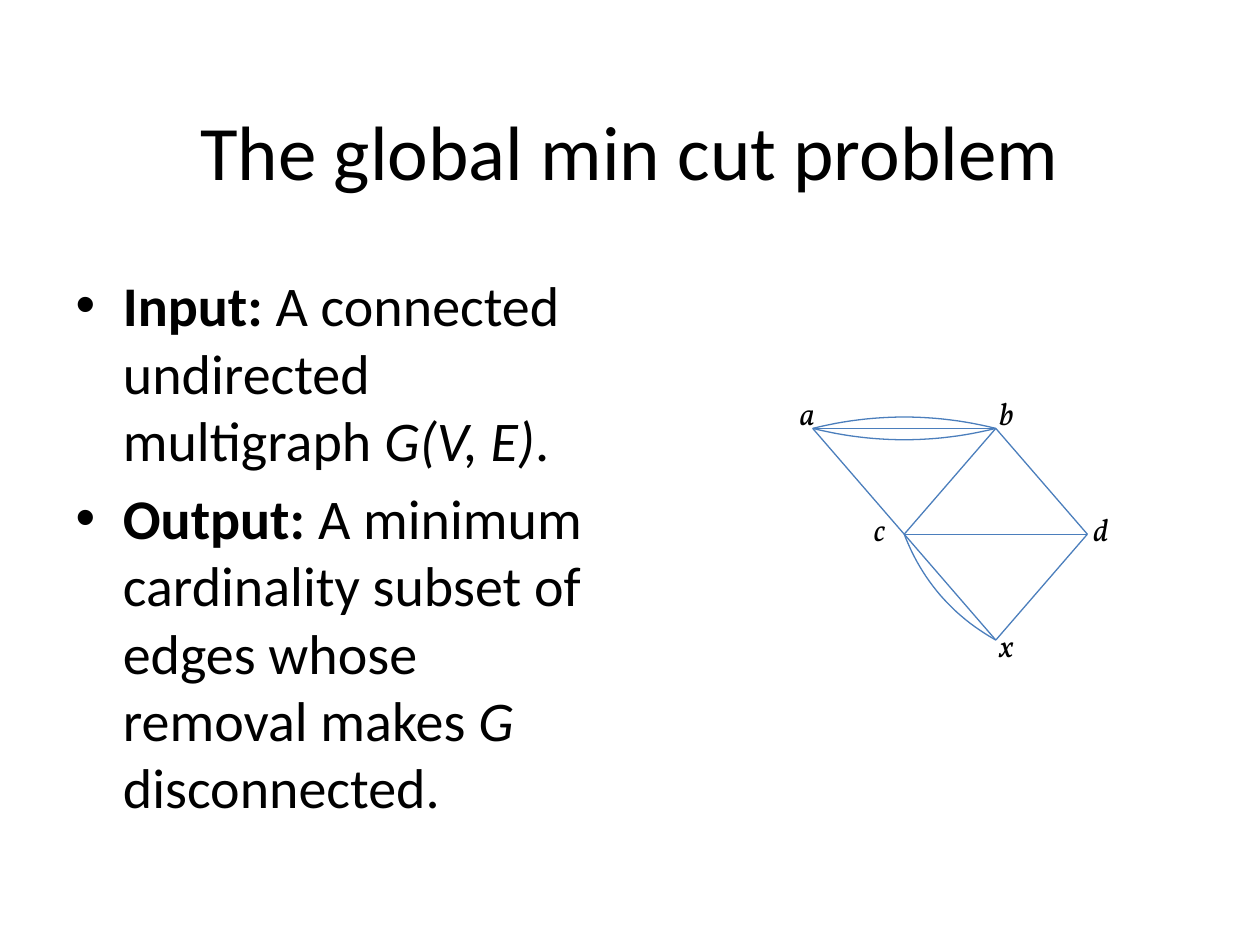
"""Build a slide that states the global min cut problem beside a small multigraph."""
from dataclasses import dataclass
from math import hypot

from lxml.etree import SubElement
from pptx import Presentation
from pptx.dml.color import RGBColor
from pptx.enum.shapes import MSO_CONNECTOR
from pptx.enum.text import MSO_ANCHOR, PP_ALIGN
from pptx.oxml.ns import qn
from pptx.util import Inches, Pt


@dataclass(frozen=True)
class Theme:
    ink: RGBColor = RGBColor(0, 0, 0)
    edge: RGBColor = RGBColor(0x4B, 0x7E, 0xBC)
    text_face: str = "Calibri"
    label_face: str = "Vollkorn"
    title_size: int = 44
    body_size: int = 32
    label_size: int = 18
    edge_width: float = 0.75


THEME = Theme()
WIDTH, HEIGHT = 10, 7.5
MARGIN = 0.05 * WIDTH

TITLE = "The global min cut problem"
STATEMENTS = [
    [("Input: ", "bold"), ("A connected undirected multigraph ", ""),
     ("G(V, E)", "italic"), (".", "")],
    [("Output: ", "bold"),
     ("A minimum cardinality subset of edges whose removal makes ", ""),
     ("G", "italic"), (" disconnected.", "")],
]

NODE_CELLS = {"a": (0, 0), "b": (2, 0), "c": (1, 1), "d": (3, 1), "x": (2, 2)}
LABEL_SHIFTS = {"a": (-0.2, -0.32), "b": (-0.07, -0.32), "c": (-0.34, -0.24),
                "d": (-0.05, -0.24), "x": (-0.07, -0.16)}
STRAIGHT_EDGES = ["ab", "ac", "bc", "bd", "dx", "cx", "cd"]
BOWED_EDGES = [("cx", 0.1), ("ab", -0.09), ("ab", 0.09)]
GRAPH_LEFT, GRAPH_TOP = 6.45, 3.4
COLUMN, ROW = 2.18 / 3, 0.84
LABEL_WIDTH, LABEL_HEIGHT = 0.24, 0.58
CURVE_STEPS = 24


def node_point(node):
    column, row = NODE_CELLS[node]
    return GRAPH_LEFT + column * COLUMN, GRAPH_TOP + row * ROW


def style_font(font, face, size):
    font.name, font.size = face, Pt(size)
    font.color.rgb = THEME.ink


def style_edge(edge):
    edge.line.color.rgb = THEME.edge
    edge.line.width = Pt(THEME.edge_width)


def place(part, left, top, width, height):
    part.left, part.top = Inches(left), Inches(top)
    part.width, part.height = Inches(width), Inches(height)


def add_title(slide):
    title = slide.shapes.title
    place(title, MARGIN, 0.77, WIDTH - 2 * MARGIN, HEIGHT / 6)
    title.text_frame.text = TITLE
    title.text_frame.vertical_anchor = MSO_ANCHOR.TOP
    heading = title.text_frame.paragraphs[0]
    heading.alignment = PP_ALIGN.CENTER
    style_font(heading.runs[0].font, THEME.text_face, THEME.title_size)


def add_statements(slide):
    body = slide.placeholders[1]
    place(body, MARGIN, 2.1, 4.42, 4.85)
    frame = body.text_frame
    for index, statement in enumerate(STATEMENTS):
        paragraph = frame.add_paragraph() if index else frame.paragraphs[0]
        if index == 0:
            paragraph.space_before = Pt(0)
        for wording, emphasis in statement:
            run = paragraph.add_run()
            run.text = wording
            style_font(run.font, THEME.text_face, THEME.body_size)
            run.font.bold = emphasis == "bold"
            run.font.italic = emphasis == "italic"


def add_straight_edge(graph, ends):
    points = [Inches(value) for node in ends for value in node_point(node)]
    edge = graph.shapes.add_connector(MSO_CONNECTOR.STRAIGHT, *points)
    style_edge(edge)
    SubElement(edge.element.spPr, qn("a:effectLst"))


def add_bowed_edge(graph, ends, bow):
    (x1, y1), (x2, y2) = map(node_point, ends)
    dx, dy = x2 - x1, y2 - y1
    length = hypot(dx, dy)
    curve = []
    for step in range(CURVE_STEPS + 1):
        share = step / CURVE_STEPS
        rise = 4 * bow * share * (1 - share) / length
        curve.append((Inches(x1 + share * dx - rise * dy),
                      Inches(y1 + share * dy + rise * dx)))
    outline = graph.shapes.build_freeform(*curve[0])
    outline.add_line_segments(curve[1:], close=False)
    edge = outline.convert_to_shape()
    edge.fill.background()
    edge.shadow.inherit = False
    style_edge(edge)


def add_label(graph, node):
    x, y = node_point(node)
    shift_x, shift_y = LABEL_SHIFTS[node]
    label = graph.shapes.add_textbox(Inches(x + shift_x), Inches(y + shift_y),
                                     Inches(LABEL_WIDTH), Inches(LABEL_HEIGHT))
    frame = label.text_frame
    frame.word_wrap = True
    frame.margin_right = 0
    frame.text = node
    font = frame.paragraphs[0].runs[0].font
    style_font(font, THEME.label_face, THEME.label_size)
    font.italic = True


def add_graph(slide):
    graph = slide.shapes.add_group_shape()
    for ends in STRAIGHT_EDGES:
        add_straight_edge(graph, ends)
    for ends, bow in BOWED_EDGES:
        add_bowed_edge(graph, ends, bow)
    for node in NODE_CELLS:
        add_label(graph, node)


def main():
    deck = Presentation()
    deck.slide_width, deck.slide_height = Inches(WIDTH), Inches(HEIGHT)
    slide = deck.slides.add_slide(deck.slide_layouts[1])
    add_title(slide)
    add_statements(slide)
    add_graph(slide)
    deck.save("out.pptx")


if __name__ == "__main__":
    main()
